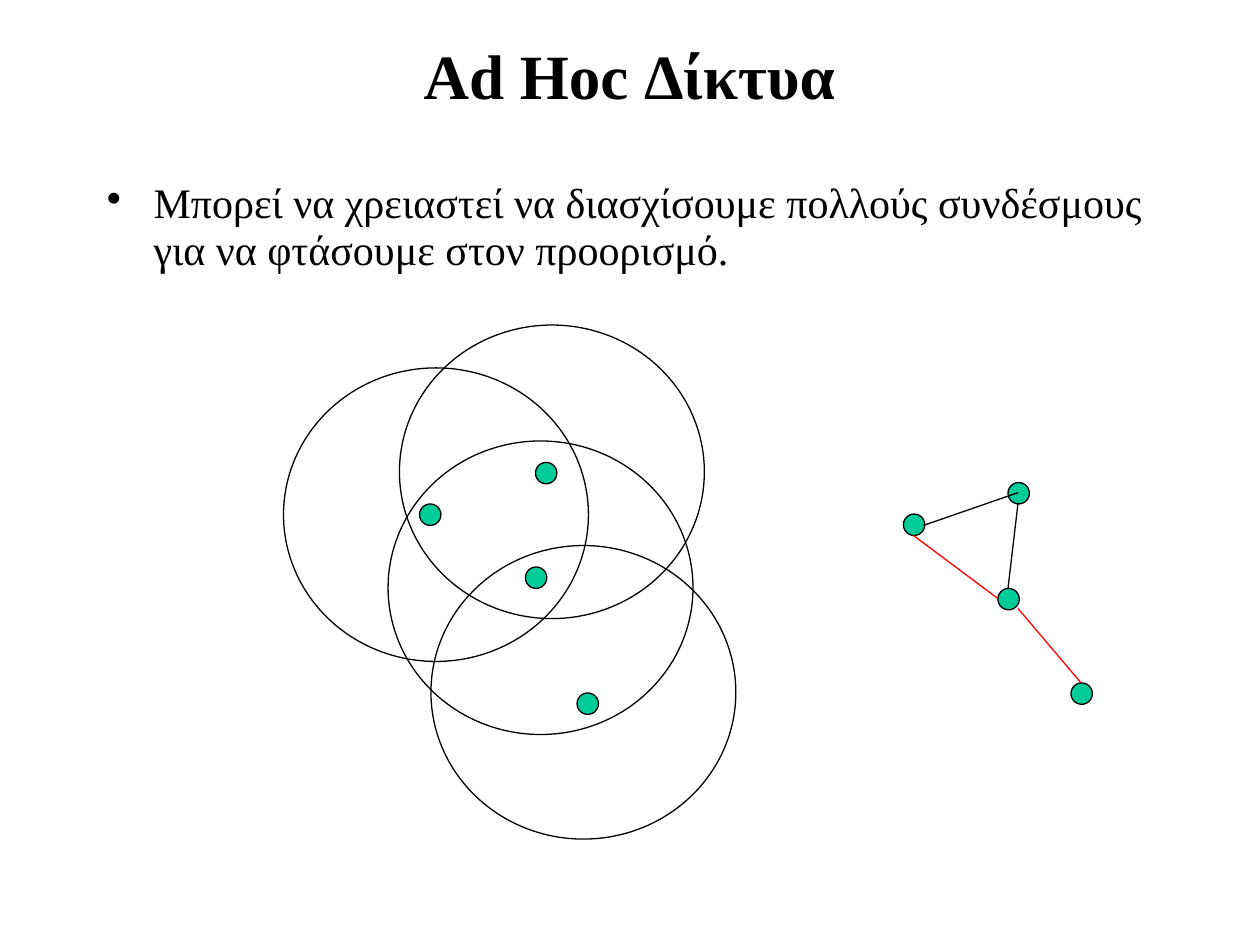
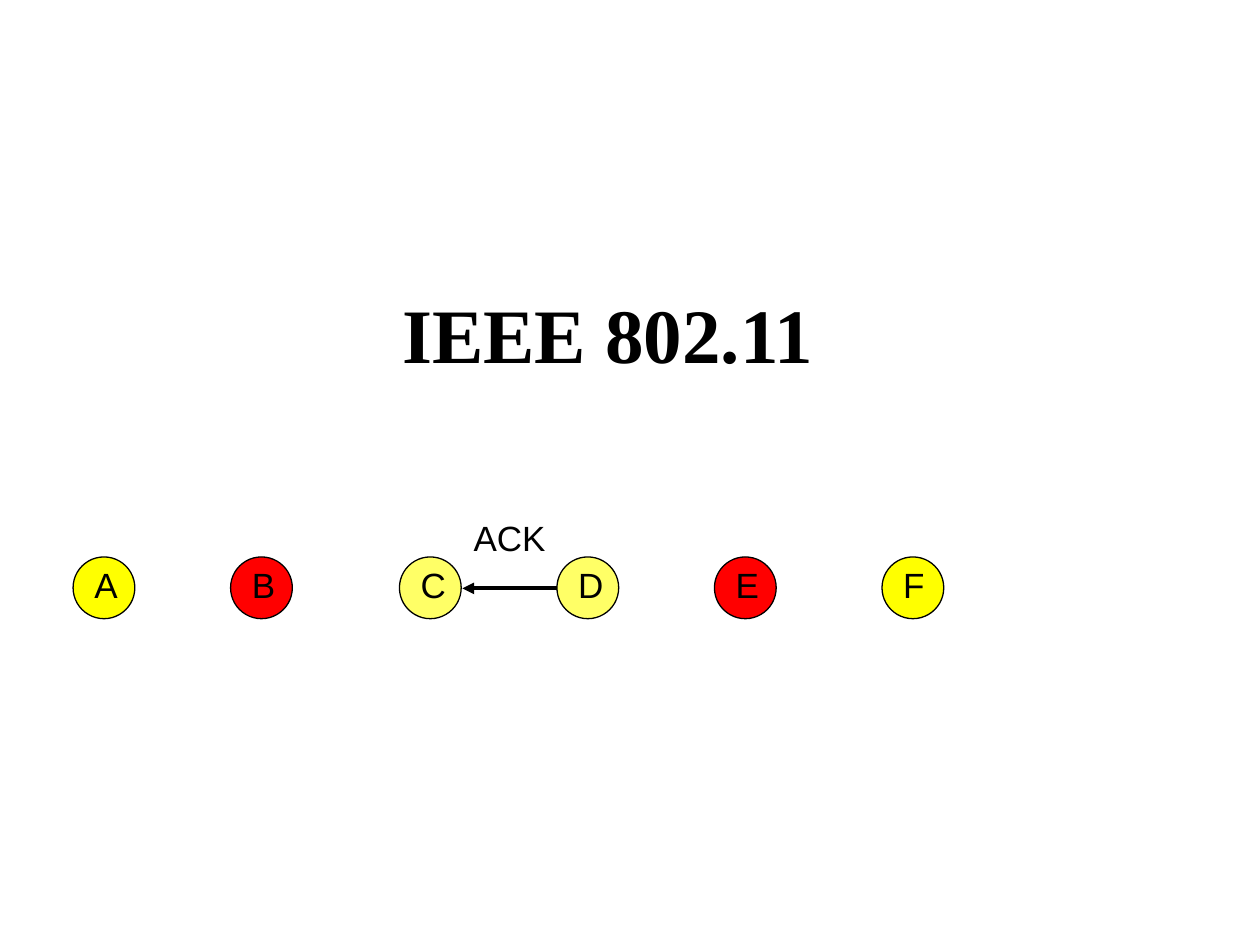
from lxml.etree import SubElement
from pptx import Presentation
from pptx.dml.color import RGBColor
from pptx.enum.shapes import MSO_CONNECTOR, MSO_SHAPE
from pptx.enum.text import MSO_ANCHOR, PP_ALIGN
from pptx.oxml.ns import qn
from pptx.util import Inches, Pt

BLACK = RGBColor(0x00, 0x00, 0x00)
RED = RGBColor(0xFF, 0x00, 0x00)
WHITE = RGBColor(0xFF, 0xFF, 0xFF)
GREEN = RGBColor(0x00, 0xCC, 0x99)
YELLOW = RGBColor(0xFF, 0xFF, 0x00)
PALE_YELLOW = RGBColor(0xFF, 0xFF, 0x66)
SERIF = "Times New Roman"
SANS = "Arial"
TITLE = dict(font=SERIF, bold=True)


def add_text(s, text, x, y, w, h, size=20, font=SANS, bold=False,
             align=PP_ALIGN.CENTER, anchor=MSO_ANCHOR.MIDDLE, wrap=True, bullet=False):
    tf = s.shapes.add_textbox(Inches(x), Inches(y), Inches(w), Inches(h)).text_frame
    tf.word_wrap = wrap
    tf.vertical_anchor = anchor
    p = tf.paragraphs[0]
    p.alignment = align
    p.line_spacing = 0.93
    if bullet:
        pPr = p._p.get_or_add_pPr()
        pPr.set("marL", str(Inches(0.37)))
        pPr.set("indent", str(-Inches(0.37)))
        SubElement(pPr, qn("a:buChar")).set("char", "•")
    r = p.add_run()
    r.text = text
    r.font.name = font
    r.font.size = Pt(size)
    r.font.bold = bold
    r.font.color.rgb = BLACK


def add_ellipse(s, x, y, w, h, fill=None):
    sp = s.shapes.add_shape(MSO_SHAPE.OVAL, Inches(x), Inches(y), Inches(w), Inches(h))
    sp.shadow.inherit = False
    if fill is None:
        sp.fill.background()
    else:
        sp.fill.solid()
        sp.fill.fore_color.rgb = fill
    sp.line.color.rgb = BLACK
    sp.line.width = Pt(0.75)


prs = Presentation()
prs.slide_width = Inches(10)
prs.slide_height = Inches(7.5)
ad_hoc, ieee = [prs.slides.add_slide(prs.slide_layouts[6]) for _ in range(2)]

add_text(ad_hoc, "Ad Hoc Δίκτυα", 0.75, 0.29, 8.49, 0.66, size=36, **TITLE)
add_text(ad_hoc, "Μπορεί να χρειαστεί να διασχίσουμε πολλούς συνδέσμους "
         "για να φτάσουμε στον προορισμό.", 0.75, 1.39, 8.49, 0.85, size=24, font=SERIF,
         align=PP_ALIGN.LEFT, anchor=MSO_ANCHOR.TOP, bullet=True)

for x, y, fill in [(2.25, 2.92, WHITE), (3.08, 3.5, None), (3.17, 2.58, None), (3.42, 4.33, None)]:
    add_ellipse(ad_hoc, x, y, 2.42, 2.33, fill)

stations = [(3.33, 4), (4.17, 4.5), (4.25, 3.67), (4.58, 5.5)]
graph_nodes = [(7.17, 4.08), (7.92, 4.67), (8, 3.83), (8.5, 5.42)]
for x, y in stations + graph_nodes:
    add_ellipse(ad_hoc, x, y, 0.17, 0.17, GREEN)

add_text(ieee, "IEEE 802.11", 0.58, 2.29, 8.49, 0.78, size=44, **TITLE)
nodes = [("A", 0.58, YELLOW), ("B", 1.83, RED), ("C", 3.17, PALE_YELLOW),
         ("D", 4.42, PALE_YELLOW), ("E", 5.67, RED), ("F", 7, YELLOW)]
for name, x, fill in nodes:
    add_ellipse(ieee, x, 4.42, 0.49, 0.49, fill)
    add_text(ieee, name, x + 0.07, 4.45, 0.34, 0.41)
add_text(ieee, "ACK", 3.66, 4.08, 0.77, 0.41, anchor=MSO_ANCHOR.TOP, wrap=False)

links = [(ad_hoc, 7.33, 4.17, 8.08, 3.91, BLACK, 0.75),
         (ad_hoc, 8, 4.67, 8.08, 3.99, BLACK, 0.75),
         (ad_hoc, 7.25, 4.25, 7.92, 4.75, RED, 0.75),
         (ad_hoc, 8.08, 4.83, 8.58, 5.42, RED, 0.75),
         (ieee, 3.67, 4.67, 4.42, 4.67, BLACK, 2.25)]
for s, x1, y1, x2, y2, color, width in links:
    link = s.shapes.add_connector(MSO_CONNECTOR.STRAIGHT, Inches(x1), Inches(y1),
                                  Inches(x2), Inches(y2))
    link.line.color.rgb = color
    link.line.width = Pt(width)
    if s is ieee:
        SubElement(link.line._get_or_add_ln(), qn("a:headEnd")).set("type", "triangle")
    SubElement(link._element.spPr, qn("a:effectLst"))

prs.save("out.pptx")
